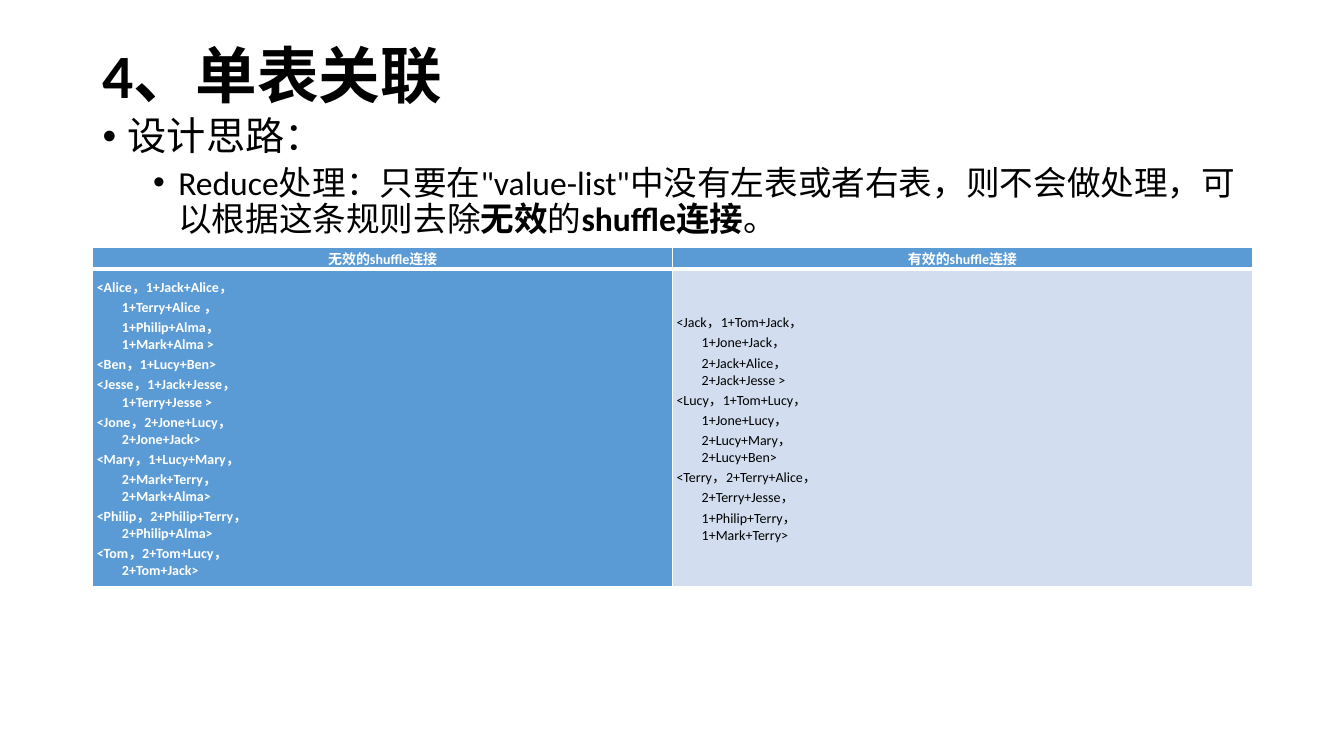
from dataclasses import dataclass

from lxml.etree import SubElement
from pptx import Presentation
from pptx.dml.color import RGBColor
from pptx.enum.lang import MSO_LANGUAGE_ID as Language
from pptx.enum.text import MSO_ANCHOR as Anchor, PP_ALIGN as Align
from pptx.oxml.ns import qn
from pptx.util import Inches, Pt


@dataclass(frozen=True)
class Theme:
    font: str = "Calibri"
    black: str = "000000"
    white: str = "FFFFFF"
    blue: str = "5B9BD5"
    pale_blue: str = "D2DEEF"
    title_size: int = 44
    topic_size: int = 28
    detail_size: int = 24
    table_size: int = 10


THEME = Theme()
LEFT, WIDTH = 0.92, 11.5
HEADINGS = ("无效的shuffle连接", "有效的shuffle连接")

# Each record is a key followed by its values, one value to a line.
INVALID_RECORDS = (
    ("<Alice，1+Jack+Alice，", "1+Terry+Alice ，", "1+Philip+Alma，", "1+Mark+Alma >"),
    ("<Ben，1+Lucy+Ben>",),
    ("<Jesse，1+Jack+Jesse，", "1+Terry+Jesse >"),
    ("<Jone，2+Jone+Lucy，", "2+Jone+Jack>"),
    ("<Mary，1+Lucy+Mary，", "2+Mark+Terry，", "2+Mark+Alma>"),
    ("<Philip，2+Philip+Terry，", "2+Philip+Alma>"),
    ("<Tom，2+Tom+Lucy，", "2+Tom+Jack>"),
)
VALID_RECORDS = (
    ("<Jack，1+Tom+Jack，", "1+Jone+Jack，", "2+Jack+Alice，", "2+Jack+Jesse >"),
    ("<Lucy，1+Tom+Lucy，", "1+Jone+Lucy，", "2+Lucy+Mary，", "2+Lucy+Ben>"),
    ("<Terry，2+Terry+Alice，", "2+Terry+Jesse，", "1+Philip+Terry，", "1+Mark+Terry>"),
)


def add_run(paragraph, text, size, color=THEME.black, bold=False):
    run = paragraph.add_run()
    run.text = text
    font = run.font
    font.name = THEME.font
    font.size = Pt(size)
    font.bold = bold
    font.color.rgb = RGBColor.from_string(color)
    font.language_id = Language.SIMPLIFIED_CHINESE


def add_text_frame(slide, top, height):
    box = slide.shapes.add_textbox(
        Inches(LEFT), Inches(top), Inches(WIDTH), Inches(height)
    )
    box.text_frame.word_wrap = True
    return box.text_frame


def set_indent(paragraph, left, first_line=0.0):
    properties = paragraph._p.get_or_add_pPr()
    properties.set("marL", str(Inches(left)))
    properties.set("indent", str(Inches(first_line)))
    return properties


def format_bullet(paragraph, left, space_before):
    paragraph.line_spacing = 0.9
    paragraph.space_before = Pt(space_before)
    properties = set_indent(paragraph, left, -0.25)
    SubElement(properties, qn("a:buFont"), typeface="Arial")
    SubElement(properties, qn("a:buChar"), char="•")


def add_title(slide):
    paragraph = add_text_frame(slide, 0.4, 1.45).paragraphs[0]
    paragraph.line_spacing = 0.9
    add_run(paragraph, "4、单表关联", THEME.title_size, bold=True)


def add_outline(slide):
    frame = add_text_frame(slide, 1.11, 5.65)
    topic = frame.paragraphs[0]
    format_bullet(topic, 0.25, 10)
    add_run(topic, "设计思路：", THEME.topic_size)

    detail = frame.add_paragraph()
    detail.level = 1
    format_bullet(detail, 0.75, 5)
    for text, bold in (
        ('Reduce处理：只要在"value-list"中没有左表或者右表，则不会做处理，可以根据这条规则去除', False),
        ("无效", True),
        ("的", False),
        ("shuffle连接", True),
        ("。", False),
    ):
        add_run(detail, text, THEME.detail_size, bold=bold)


def set_borders(cell, **widths):
    """Draw white borders; widths in points are keyed by side: L, R, T, B."""
    properties = cell._tc.get_or_add_tcPr()
    for side, width in widths.items():
        line = SubElement(properties, qn(f"a:ln{side}"), w=str(Pt(width)))
        fill = SubElement(line, qn("a:solidFill"))
        SubElement(fill, qn("a:srgbClr"), val=THEME.white)


def format_cell(cell, fill, top_border, bottom_border):
    cell.vertical_anchor = Anchor.MIDDLE
    cell.margin_left = cell.margin_right = Inches(0.04)
    cell.margin_top = cell.margin_bottom = Inches(0.01)
    set_borders(cell, L=1, R=1, T=top_border, B=bottom_border)
    cell.fill.solid()
    cell.fill.fore_color.rgb = RGBColor.from_string(fill)


def fill_heading(cell, text):
    format_cell(cell, THEME.blue, 1, 3)
    paragraph = cell.text_frame.paragraphs[0]
    paragraph.alignment = Align.CENTER
    add_run(paragraph, text, THEME.table_size, THEME.white, bold=True)


def fill_records(cell, records, fill, color, bold):
    format_cell(cell, fill, 3, 1)
    frame = cell.text_frame
    lines = [(text, index > 0) for record in records for index, text in enumerate(record)]
    for number, (text, indented) in enumerate(lines):
        paragraph = frame.add_paragraph() if number else frame.paragraphs[0]
        paragraph.alignment = Align.JUSTIFY
        if indented:
            set_indent(paragraph, 0.25)
        add_run(paragraph, text, THEME.table_size, color, bold)


def add_join_table(slide):
    row_heights = (0.22, 3.15)
    table = slide.shapes.add_table(
        2, 2, Inches(LEFT), Inches(2.45), Inches(WIDTH), Inches(sum(row_heights))
    ).table
    table.horz_banding = False
    for row, height in zip(table.rows, row_heights):
        row.height = Inches(height)
    for column, heading in enumerate(HEADINGS):
        fill_heading(table.cell(0, column), heading)
    fill_records(table.cell(1, 0), INVALID_RECORDS, THEME.blue, THEME.white, True)
    fill_records(table.cell(1, 1), VALID_RECORDS, THEME.pale_blue, THEME.black, False)


def main():
    presentation = Presentation()
    presentation.slide_width = Inches(13.33)
    presentation.slide_height = Inches(7.5)
    slide = presentation.slides.add_slide(presentation.slide_layouts[6])
    add_title(slide)
    add_outline(slide)
    add_join_table(slide)
    presentation.save("out.pptx")


if __name__ == "__main__":
    main()
